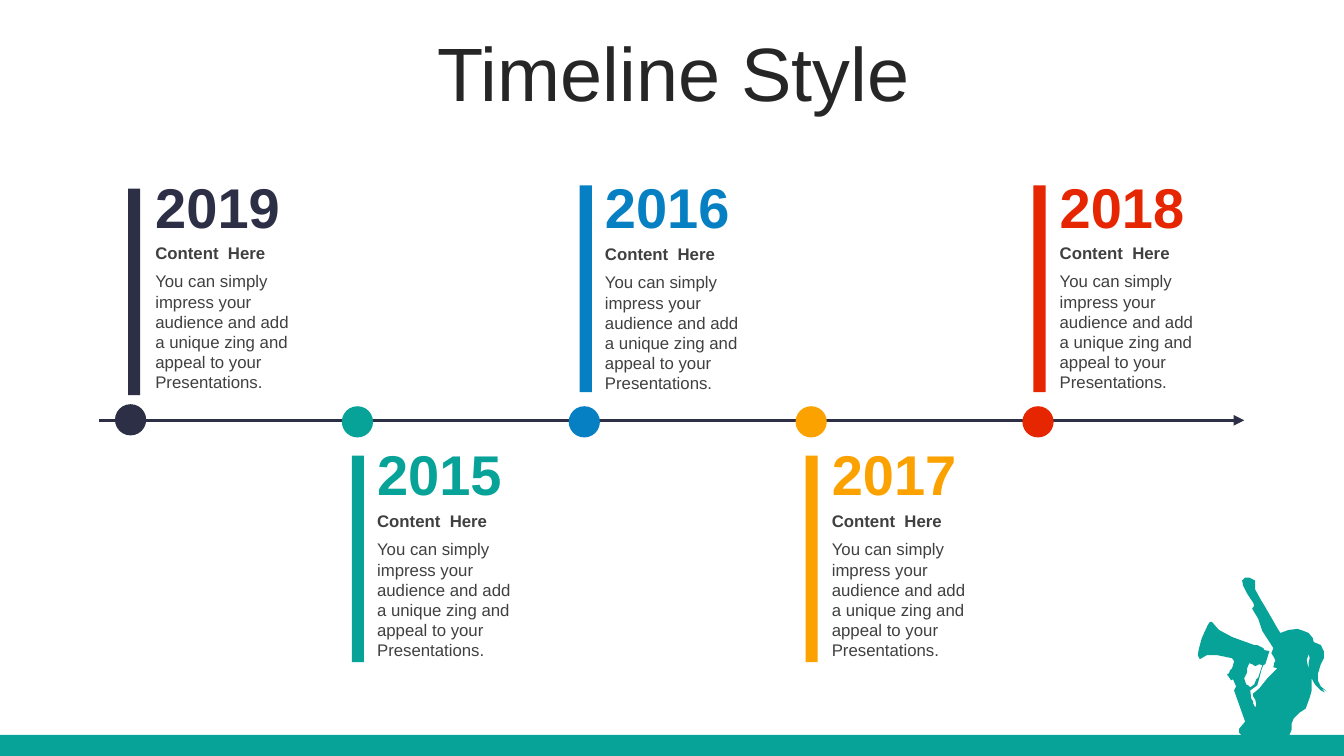
from lxml.etree import SubElement
from pptx import Presentation
from pptx.dml.color import RGBColor
from pptx.enum.shapes import MSO_CONNECTOR as CONNECTOR, MSO_SHAPE as SHAPE
from pptx.enum.text import MSO_ANCHOR as ANCHOR, PP_ALIGN as ALIGN
from pptx.oxml.ns import qn
from pptx.util import Inches, Pt

NAVY = RGBColor(0x2C, 0x2F, 0x45)
TEAL = RGBColor(0x07, 0xA3, 0x98)
BLUE = RGBColor(0x06, 0x80, 0xC3)
AMBER = RGBColor(0xFB, 0xA2, 0x00)
RED = RGBColor(0xE6, 0x26, 0x01)
TITLE_GREY = RGBColor(0x26, 0x26, 0x26)
TEXT_GREY = RGBColor(0x40, 0x40, 0x40)

DESCRIPTION = ("You can simply impress your audience and add a unique zing "
               "and appeal to your Presentations.")

# Year, colour, dot top, bar left, bar top, text left, year top, heading top
MILESTONES = [
    ("2019", NAVY, 4.01, 1.27, 1.87, 1.54, 1.71, 2.36),
    ("2015", TEAL, 4.03, 3.49, 4.52, 3.74, 4.36, 5.02),
    ("2016", BLUE, 4.03, 5.75, 1.84, 6.00, 1.71, 2.37),
    ("2017", AMBER, 4.03, 7.99, 4.52, 8.25, 4.36, 5.02),
    ("2018", RED, 4.03, 10.25, 1.84, 10.51, 1.71, 2.36),
]

# Outlines of the figure with a megaphone, in hundredths of an inch
FIGURE = [
    [(1232, 730), (1279, 729), (1281, 724), (1281, 718), (1283, 713),
     (1289, 707), (1295, 703), (1299, 692), (1301, 685), (1301, 673),
     (1303, 677), (1305, 680), (1310, 685), (1314, 687), (1311, 683),
     (1316, 686), (1310, 681), (1307, 675), (1307, 669), (1310, 659),
     (1313, 653), (1313, 646), (1310, 640), (1303, 637), (1302, 633),
     (1298, 628), (1293, 626), (1287, 624), (1278, 625), (1270, 628),
     (1268, 625), (1253, 599), (1251, 596), (1245, 585), (1245, 576),
     (1243, 575), (1239, 573), (1235, 573), (1232, 576), (1233, 581),
     (1237, 589), (1243, 598), (1244, 601), (1242, 604), (1248, 614),
     (1252, 626), (1263, 643), (1261, 648), (1264, 653), (1265, 656),
     (1264, 657), (1263, 662), (1267, 663), (1257, 673), (1249, 683),
     (1243, 688), (1243, 691), (1245, 694), (1246, 699), (1245, 702),
     (1243, 698), (1243, 696), (1241, 693), (1240, 685), (1247, 680),
     (1249, 673), (1251, 665), (1253, 660), (1255, 659), (1259, 646),
     (1254, 645), (1253, 643), (1247, 640), (1244, 640), (1222, 632),
     (1209, 625), (1202, 617), (1200, 617), (1198, 620), (1192, 633),
     (1189, 644), (1188, 650), (1190, 654), (1197, 650), (1207, 650),
     (1222, 653), (1224, 656), (1223, 660), (1222, 663), (1220, 665),
     (1219, 668), (1217, 669), (1221, 675), (1223, 674), (1226, 681),
     (1224, 685), (1235, 716), (1229, 723), (1229, 727)],
    [(1239, 658), (1242, 659), (1245, 661), (1249, 659), (1252, 660),
     (1250, 666), (1248, 672), (1246, 674), (1244, 679), (1240, 682),
     (1238, 680), (1236, 679), (1234, 673), (1237, 667), (1237, 663)],
    [(1298, 657), (1298, 664), (1296, 655), (1298, 649), (1299, 653)],
]


def paint(shape, color):
    shape.shadow.inherit = False
    shape.fill.solid()
    shape.fill.fore_color.rgb = color
    shape.line.fill.background()


def add_text(text, box, size, color, bold, anchor, margins):
    """Add a text box; box and margins run left, top, then the rest, in inches."""
    frame = slide.shapes.add_textbox(*map(Inches, box)).text_frame
    frame.word_wrap = True
    frame.vertical_anchor = anchor
    (frame.margin_left, frame.margin_top,
     frame.margin_right, frame.margin_bottom) = map(Inches, margins)
    frame.text = text
    font = frame.paragraphs[0].runs[0].font
    font.name, font.size, font.bold = "Arial", Pt(size), bold
    font.color.rgb = color


presentation = Presentation()
presentation.slide_width = Inches(13.33)
presentation.slide_height = Inches(7.5)
slide = presentation.slides.add_slide(presentation.slide_layouts[5])

# Figure and footer band
builder = slide.shapes.build_freeform(*FIGURE[0][0], scale=Inches(0.01))
builder.add_line_segments(FIGURE[0][1:], close=True)
for hole in FIGURE[1:]:
    builder.move_to(*hole[0])
    builder.add_line_segments(hole[1:], close=True)
paint(builder.convert_to_shape(), TEAL)

footer_band = slide.shapes.add_shape(
    SHAPE.RECTANGLE, 0, Inches(7.29), presentation.slide_width, Inches(0.21))
paint(footer_band, TEAL)

# Title
title = slide.shapes.title
title.left, title.top = Inches(0.35), Inches(0.37)
title.width, title.height = Inches(12.66), Inches(0.79)
title.text_frame.text = "Timeline Style"
title.text_frame.vertical_anchor = ANCHOR.MIDDLE
paragraph = title.text_frame.paragraphs[0]
paragraph.alignment = ALIGN.CENTER
paragraph.line_spacing = 0.9
title_font = paragraph.runs[0].font
title_font.name, title_font.size = "Arial", Pt(54)
title_font.color.rgb = TITLE_GREY

# Time axis
axis = slide.shapes.add_connector(
    CONNECTOR.STRAIGHT, Inches(0.98), Inches(4.17), Inches(12.34), Inches(4.17))
axis.line.color.rgb = NAVY
axis.line.width = Pt(2.5)
SubElement(axis.line._get_or_add_ln(), qn("a:tailEnd"), type="triangle")
SubElement(axis._element.spPr, qn("a:effectLst"))

# Milestones
for index, milestone in enumerate(MILESTONES):
    year, color, dot_top, bar_left, bar_top, text_left, year_top, heading_top = milestone
    dot = slide.shapes.add_shape(
        SHAPE.OVAL, Inches(1.14 + 2.25 * index), Inches(dot_top),
        Inches(0.31), Inches(0.31))
    paint(dot, color)
    bar = slide.shapes.add_shape(
        SHAPE.RECTANGLE, Inches(bar_left), Inches(bar_top),
        Inches(0.12), Inches(2.05))
    paint(bar, color)
    add_text(year, (text_left, year_top, 1.7, 0.67), 40, color, True,
             ANCHOR.MIDDLE, (0, 0, 0, 0))
    add_text("Content  Here", (text_left, heading_top, 1.55, 0.3), 12, TEXT_GREY,
             True, ANCHOR.MIDDLE, (0, 0.05, 0.1, 0.05))
    add_text(DESCRIPTION, (text_left, heading_top + 0.28, 1.55, 1.31), 12, TEXT_GREY,
             False, ANCHOR.TOP, (0, 0.05, 0.1, 0.05))

presentation.save("out.pptx")
